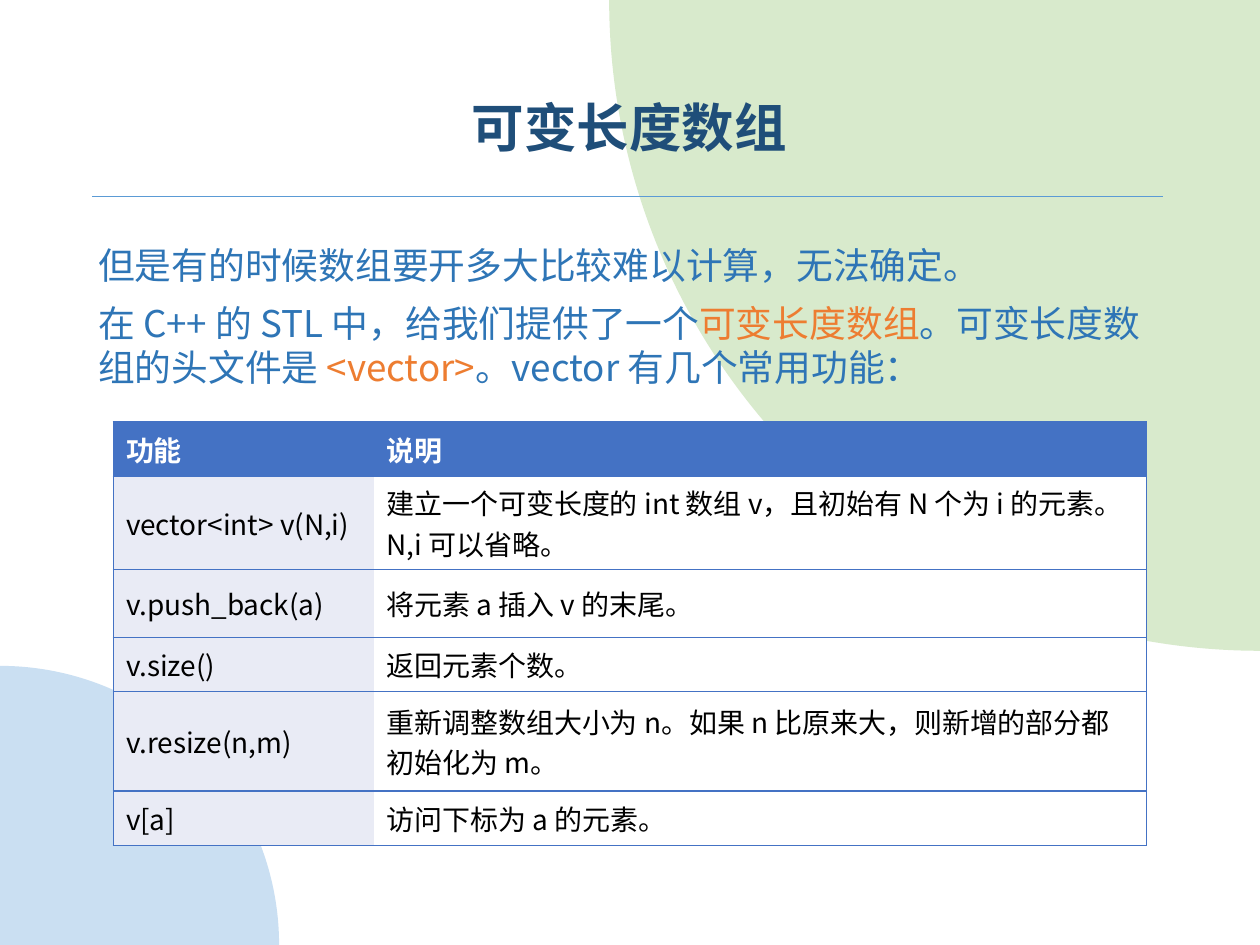
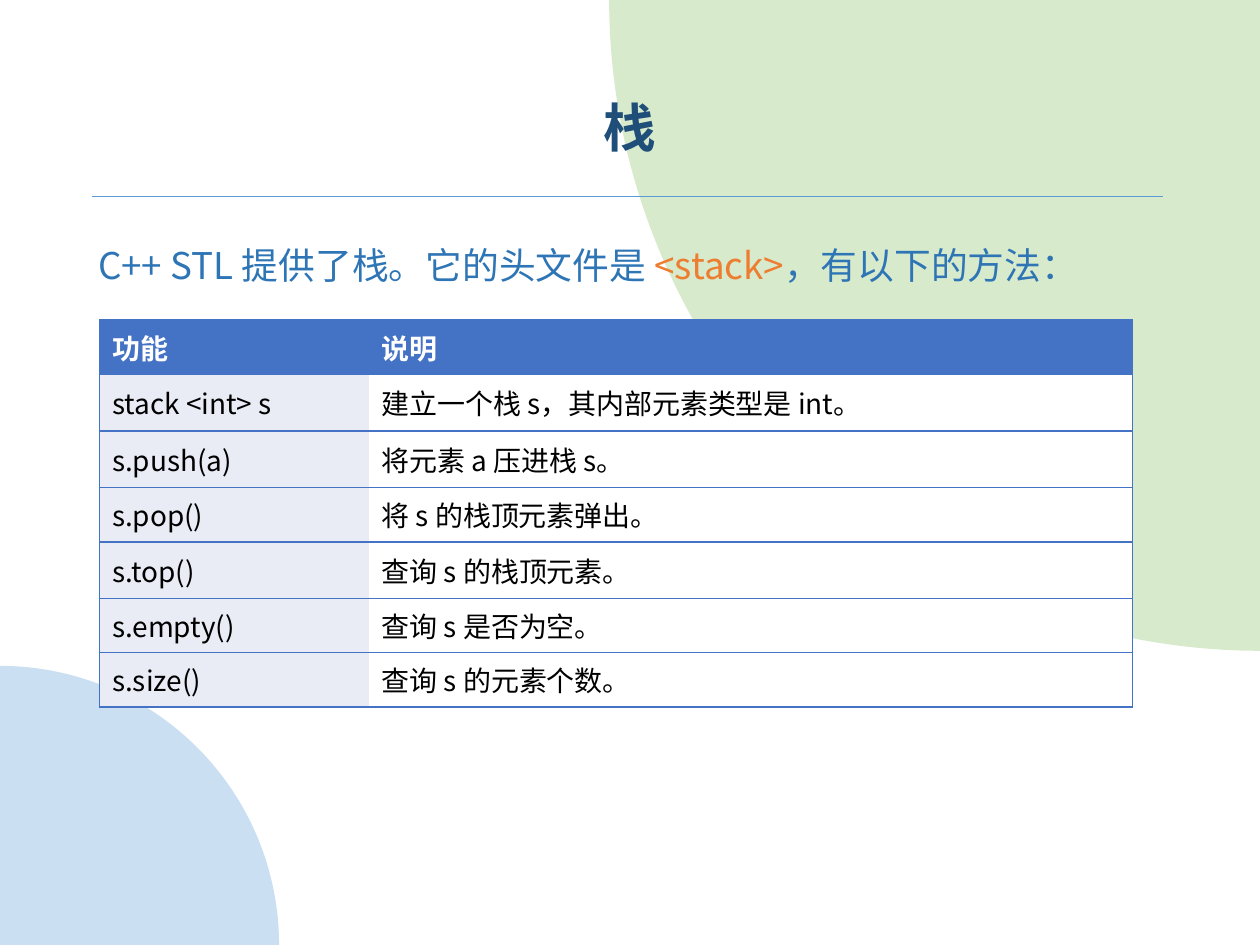
from dataclasses import dataclass
from lxml import etree
from pptx import Presentation
from pptx.dml.color import RGBColor
from pptx.enum import shapes, text
from pptx.oxml import ns
from pptx.util import Inches, Pt

HEAD = ("功能", "说明")
PAGES = [
    {
        "title": "可变长度数组",
        "body": [
            [("但是有的时候数组要开多大比较难以计算，无法确定。", "body")],
            [("在 C++ 的 STL 中，给我们提供了一个", "body"),
             ("可变长度数组", "key"),
             ("。可变长度数组的头文件是 ", "body"),
             ("<vector>", "key"),
             ("。vector 有几个常用功能：", "body")],
        ],
        "place": (0.9, 3.35),
        "split": 2.07,
        "rows": [
            ("vector<int> v(N,i)", "建立一个可变长度的 int 数组 v，且初始有 N 个为 i 的元素。N,i 可以省略。", 0.74),
            ("v.push_back(a)", "将元素 a 插入 v 的末尾。", 0.54),
            ("v.size()", "返回元素个数。", 0.43),
            ("v.resize(n,m)", "重新调整数组大小为 n。如果 n 比原来大，则新增的部分都初始化为 m。", 0.79),
            ("v[a]", "访问下标为 a 的元素。", 0.43),
        ],
    },
    {
        "title": "栈",
        "body": [
            [("C++ STL 提供了栈。它的头文件是 ", "body"),
             ("<stack>", "key"),
             ("，有以下的方法：", "body")],
        ],
        "place": (0.79, 2.54),
        "split": 2.14,
        "rows": [
            ("stack <int> s", "建立一个栈 s，其内部元素类型是 int。", 0.45),
            ("s.push(a)", "将元素 a 压进栈 s。", 0.45),
            ("s.pop()", "将 s 的栈顶元素弹出。", 0.43),
            ("s.top()", "查询 s 的栈顶元素。", 0.45),
            ("s.empty()", "查询 s 是否为空。", 0.43),
            ("s.size()", "查询 s 的元素个数。", 0.43),
        ],
    },
]


@dataclass(frozen=True)
class Theme:
    font: str = "Noto Sans CJK SC"
    title: str = "1F4E79"
    body: str = "2E75B6"
    key: str = "ED7D31"
    rule: str = "5B9BD5"
    green: str = "D8EACC"
    blue: str = "CADFF2"
    grid: str = "4472C4"
    tint: str = "E9EBF5"
    white: str = "FFFFFF"
    black: str = "000000"
    title_size: int = 30
    body_size: int = 21
    cell_size: int = 16


THEME = Theme()
WIDE, HIGH = 10, 7.5
LEFT, SPAN = 0.68, 8.63
TABLE_WIDE, HEAD_HIGH = 8.2, 0.43


def paint(fill, color):
    fill.solid()
    fill.fore_color.rgb = RGBColor.from_string(color)


def add_run(para, words, size, color, bold=False):
    run = para.add_run()
    run.text = words
    font = run.font
    font.name, font.size, font.bold = THEME.font, Pt(size), bold
    font.color.rgb = RGBColor.from_string(color)
    east = etree.SubElement(run._r.get_or_add_rPr(), ns.qn("a:ea"))
    east.set("typeface", THEME.font)


def add_disc(slide, mid_x, mid_y, size, turn, color):
    disc = slide.shapes.add_shape(
        shapes.MSO_SHAPE.PIE, Inches(mid_x - size / 2), Inches(mid_y - size / 2),
        Inches(size), Inches(size))
    disc.adjustments[0], disc.adjustments[1] = 108, 162
    disc.rotation = turn
    disc.shadow.inherit = False
    paint(disc.fill, color)
    disc.line.fill.background()
    return disc


def add_rule(slide):
    rule = slide.shapes.add_connector(
        shapes.MSO_CONNECTOR.STRAIGHT, Inches(9.23), Inches(1.56), Inches(0.73), Inches(1.56))
    rule.line.color.rgb = RGBColor.from_string(THEME.rule)
    rule.line.width = Pt(1)
    etree.SubElement(rule._element.spPr, ns.qn("a:effectLst"))
    return rule


def dress(layout, slide):
    parts = (add_disc(slide, WIDE, 0, 10.33, 270, THEME.green),
             add_disc(slide, 0, HIGH, 4.43, 90, THEME.blue),
             add_rule(slide))
    for part in parts:
        layout.shapes._spTree.append(part._element)


def set_title(slide, words):
    title = slide.shapes.title
    title.left, title.top = Inches(LEFT), Inches(0.51)
    title.width, title.height = Inches(SPAN), Inches(0.8)
    frame = title.text_frame
    frame.vertical_anchor = text.MSO_ANCHOR.BOTTOM
    para = frame.paragraphs[0]
    para.alignment, para.line_spacing = text.PP_ALIGN.CENTER, 0.9
    add_run(para, words, THEME.title_size, THEME.title, True)


def add_body(slide, paras):
    box = slide.shapes.add_textbox(Inches(LEFT), Inches(1.88), Inches(SPAN), Inches(4.89))
    frame = box.text_frame
    frame.word_wrap = True
    for index, runs in enumerate(paras):
        para = frame.add_paragraph() if index else frame.paragraphs[0]
        if index:
            para.space_before = Pt(7.5)
        for words, role in runs:
            add_run(para, words, THEME.body_size, getattr(THEME, role))


def add_edge(cell, side, shown):
    edge = etree.SubElement(cell._tc.get_or_add_tcPr(), ns.qn("a:ln" + side), w=str(Pt(1)))
    if shown:
        fill = etree.SubElement(edge, ns.qn("a:solidFill"))
        etree.SubElement(fill, ns.qn("a:srgbClr"), val=THEME.grid)
    else:
        etree.SubElement(edge, ns.qn("a:noFill"))


def fill_cell(cell, words, top, first):
    for side, shown in (("L", first), ("R", not first), ("T", True), ("B", True)):
        add_edge(cell, side, shown)
    paint(cell.fill, THEME.grid if top else THEME.tint if first else THEME.white)
    cell.vertical_anchor = text.MSO_ANCHOR.MIDDLE
    add_run(cell.text_frame.paragraphs[0], words, THEME.cell_size,
            THEME.white if top else THEME.black, top)


def add_grid(slide, page):
    rows = [(*HEAD, HEAD_HIGH), *page["rows"]]
    left, top = page["place"]
    grid = slide.shapes.add_table(
        len(rows), len(HEAD), Inches(left), Inches(top), Inches(TABLE_WIDE),
        Inches(sum(row[-1] for row in rows))).table
    for col, wide in zip(grid.columns, (page["split"], TABLE_WIDE - page["split"])):
        col.width = Inches(wide)
    for r, (*cells, high) in enumerate(rows):
        grid.rows[r].height = Inches(high)
        for c, words in enumerate(cells):
            fill_cell(grid.cell(r, c), words, r == 0, c == 0)


def main():
    deck = Presentation()
    deck.slide_width, deck.slide_height = Inches(WIDE), Inches(HIGH)
    layout = deck.slide_layouts[5]
    for index, page in enumerate(PAGES):
        slide = deck.slides.add_slide(layout)
        if index == 0:
            dress(layout, slide)
        set_title(slide, page["title"])
        add_body(slide, page["body"])
        add_grid(slide, page)
    deck.save("out.pptx")


if __name__ == "__main__":
    main()
